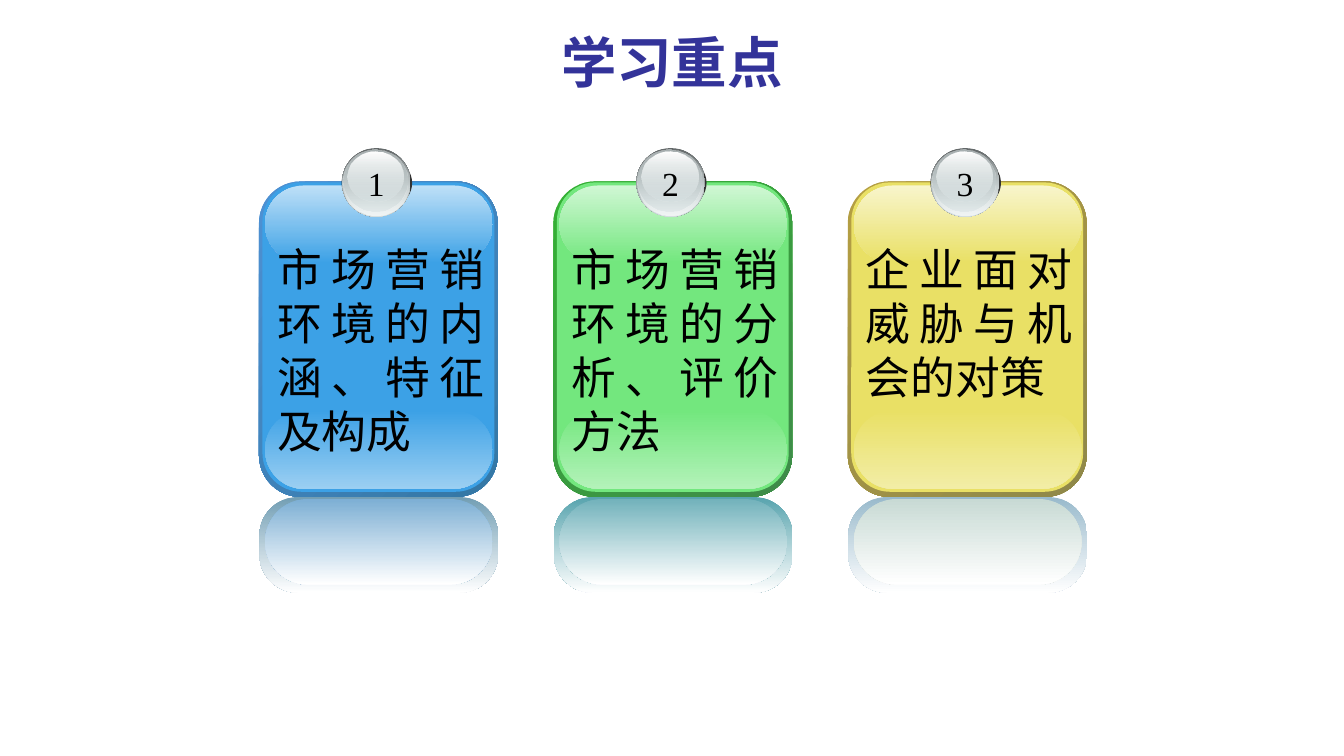
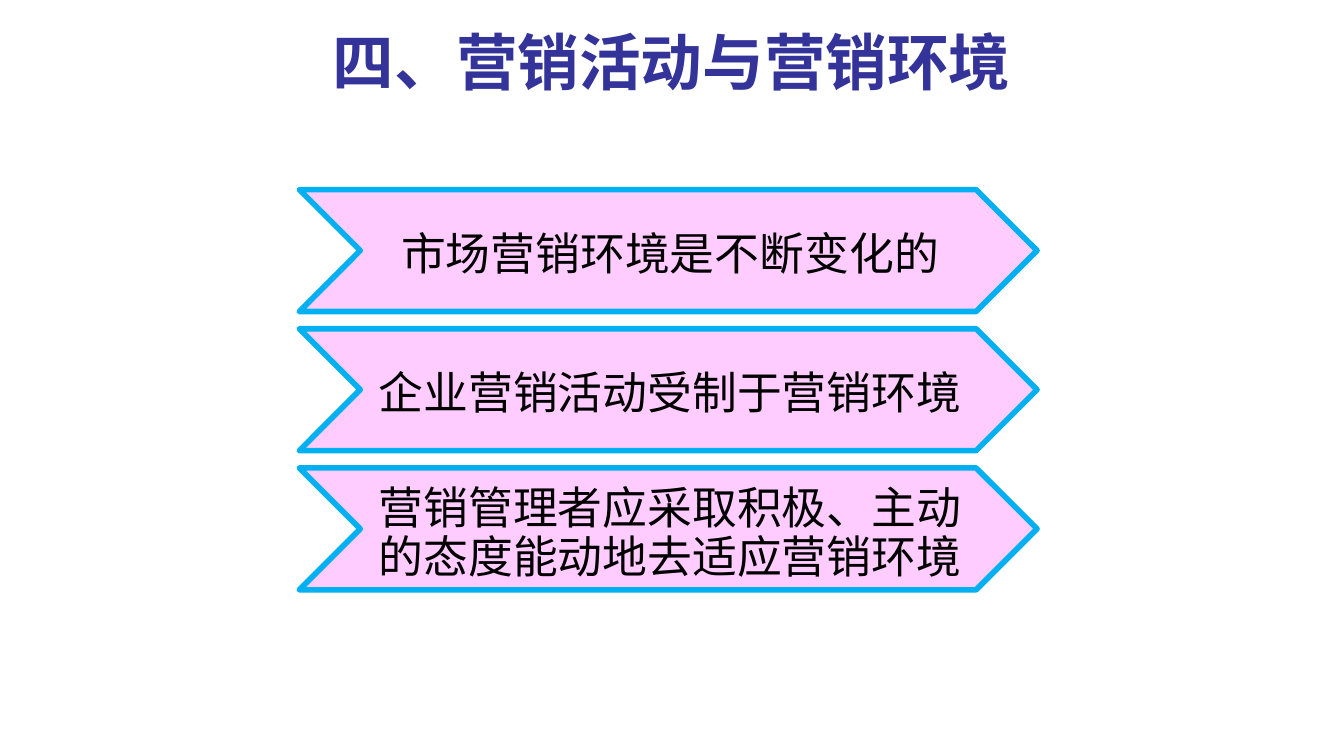
from lxml import etree
from pptx import Presentation
from pptx.dml.color import RGBColor
from pptx.enum.shapes import MSO_SHAPE
from pptx.enum.text import MSO_ANCHOR, PP_ALIGN
from pptx.oxml.ns import qn
from pptx.util import Pt

ROUND, OVAL, CHEVRON = MSO_SHAPE.ROUNDED_RECTANGLE, MSO_SHAPE.OVAL, MSO_SHAPE.CHEVRON
CENTER, JUSTIFY = PP_ALIGN.CENTER, PP_ALIGN.JUSTIFY
TOP, MIDDLE = MSO_ANCHOR.TOP, MSO_ANCHOR.MIDDLE

COLORS = {
    "title": "333399", "text": "000000", "white": "FFFFFF",
    "chevron": "FFCCFF", "chevron_line": "00B0F0",
    "badge_shadow": "333333", "badge_rim": "636869", "badge": "D6E1E2",
    "badge_glow": "F1F5F5", "badge_shade": "AAB2B3",
}
TITLE_FONT, BODY_FONT, LATIN_FONT = "Noto Sans CJK JP", "Noto Sans CJK SC", "Times New Roman"
TITLE_ONLY = 5
DOWN, DIAGONAL = 90, 45

CARD_LEFT, CARD_PITCH = 185, 210.3
CARDS = [
    ("市场营销环境的内涵、特征及构成",
     dict(edge=("4E91D4", "3477A4"), face="3CA1E6", light="BEE0F7", glow="9BCFF2",
          mirror="729EB4", mirror_face="7DAFD4")),
    ("市场营销环境的分析、评价方法",
     dict(edge=("34B034", "3F8B4A"), face="73E77E", light="D0F7D4", glow="B3F2B9",
          mirror="58A4AE", mirror_face="72B2BB")),
    ("企业面对威胁与机会的对策",
     dict(edge=("B59F43", "8F8849"), face="E9E065", light="F8F5CC", glow="F2EDA6",
          mirror="99BACC", mirror_face="C8DAD4")),
]
CHEVRON_LEFT, CHEVRON_TOP, CHEVRON_PITCH = 213.8, 135.4, 99.4
CHEVRON_TEXTS = [
    "市场营销环境是不断变化的",
    "企业营销活动受制于营销环境",
    "营销管理者应采取积极、主动的态度能动地去适应营销环境",
]


def rgb(color):
    return RGBColor.from_string(color)


def write(tf, text, size, font, color=COLORS["text"], align=CENTER, anchor=TOP,
          bold=False, spacing=None, latin=None):
    """Fill a text frame with one paragraph, naming its East Asian font too."""
    tf.vertical_anchor = anchor
    p = tf.paragraphs[0]
    p.text = text
    p.alignment = align
    if spacing:
        p.line_spacing = Pt(spacing)
    p.font.size, p.font.bold, p.font.name = Pt(size), bold, latin or font
    p.font.color.rgb = rgb(color)
    props = p._p.pPr.find(qn("a:defRPr"))
    etree.SubElement(props, qn("a:ea")).set("typeface", font)


def add_title(s, text, size, top, height):
    sp = s.shapes.title
    sp.left, sp.top, sp.width, sp.height = Pt(48), Pt(top), Pt(864), Pt(height)
    write(sp.text_frame, text, size, TITLE_FONT, COLORS["title"], anchor=MIDDLE, bold=True)


def add_shape(shapes, kind, box, fill, adj=None):
    sp = shapes.add_shape(kind, *map(Pt, box))
    sp.shadow.inherit = False
    sp.line.fill.background()
    if adj is not None:
        sp.adjustments[0] = adj
    sp.fill.solid()
    sp.fill.fore_color.rgb = rgb(fill)
    return sp


def add_gradient(shapes, kind, box, colors, adj=None, angle=DOWN, alphas=(100, 100)):
    """Add a two-colour shape; angle is clockwise and alphas are percent opaque."""
    sp = add_shape(shapes, kind, box, colors[0], adj)
    sp.fill.gradient()
    sp.fill.gradient_angle = 360 - angle
    for stop, color, alpha in zip(sp.fill.gradient_stops, colors, alphas):
        stop.color.rgb = rgb(color)
    for clr, alpha in zip(sp._element.spPr.iter(qn("a:srgbClr")), alphas):
        if alpha < 100:
            etree.SubElement(clr, qn("a:alpha")).set("val", str(alpha * 1000))


def add_text(shapes, box, text, size, font, wrap=True, **style):
    tf = shapes.add_textbox(*map(Pt, box)).text_frame
    tf.word_wrap = wrap
    write(tf, text, size, font, **style)


def add_badge(shapes, x, number):
    c = COLORS
    add_shape(shapes, OVAL, (x, 110.2, 50.4, 41), c["badge_shadow"])
    for dx, y, w, h, colors, alphas in [
        (0.3, 105.8, 49, 49, (c["badge_rim"], c["badge"]), (100, 100)),
        (1, 106.6, 47.5, 47.5, (c["badge"], c["badge_glow"]), (0, 100)),
        (1.4, 106.6, 45.4, 44.6, (c["badge_shade"], c["badge"]), (100, 48)),
        (4.2, 108, 40.3, 36, (c["white"], c["badge"]), (100, 38)),
    ]:
        add_gradient(shapes, OVAL, (x + dx, y, w, h), colors, alphas=alphas)
    add_text(shapes, (x + 11.4, 113, 26.6, 36.7), str(number), 24, LATIN_FONT, wrap=False)


def add_card(s, x, number, text, c):
    shapes = s.shapes.add_group_shape().shapes
    white = COLORS["white"]
    add_gradient(shapes, ROUND, (x, 129.6, 170.6, 225.4), c["edge"], 0.175, DIAGONAL)
    add_shape(shapes, ROUND, (x + 2.5, 130.3, 165.6, 221), c["face"], 0.167)
    for dx, y, w, h, colors, adj in [
        (4.3, 293, 162.7, 56.2, (c["face"], c["glow"]), 0.5),
        (4.3, 132.5, 162.7, 55.4, (c["light"], c["face"]), 0.5),
        (0.3, 355, 170.6, 68.4, (c["mirror"], white), 0.404),
        (4.3, 356.4, 162.7, 61.2, (c["mirror_face"], white), 0.5),
    ]:
        add_gradient(shapes, ROUND, (x + dx, y, w, h), colors, adj)
    add_badge(shapes, x + 59, number)
    add_text(shapes, (x + 5.8, 168.6, 162, 162.7), text, 32, BODY_FONT,
             align=JUSTIFY, spacing=38.7)


def add_chevron(s, y, text):
    sp = add_shape(s.shapes, CHEVRON, (CHEVRON_LEFT, y, 527, 87.1), COLORS["chevron"])
    sp.line.color.rgb = rgb(COLORS["chevron_line"])
    sp.line.width = Pt(4)
    tf = sp.text_frame
    tf.word_wrap = True
    tf.margin_left, tf.margin_right = Pt(2.9), Pt(0)
    tf.margin_top, tf.margin_bottom = Pt(8), Pt(1.4)
    write(tf, text, 32, BODY_FONT, anchor=MIDDLE, spacing=35, latin=LATIN_FONT)


def main():
    prs = Presentation()
    prs.slide_width, prs.slide_height = Pt(960), Pt(540)
    layout = prs.slide_layouts[TITLE_ONLY]

    s = prs.slides.add_slide(layout)
    add_title(s, "学习重点", 39.6, 19.4, 49)
    for i, (text, colors) in enumerate(CARDS):
        add_card(s, CARD_LEFT + i * CARD_PITCH, i + 1, text, colors)

    s = prs.slides.add_slide(layout)
    add_title(s, "四、营销活动与营销环境", 44, 9.4, 68.4)
    for i, text in enumerate(CHEVRON_TEXTS):
        add_chevron(s, CHEVRON_TOP + i * CHEVRON_PITCH, text)

    prs.save("out.pptx")


if __name__ == "__main__":
    main()
